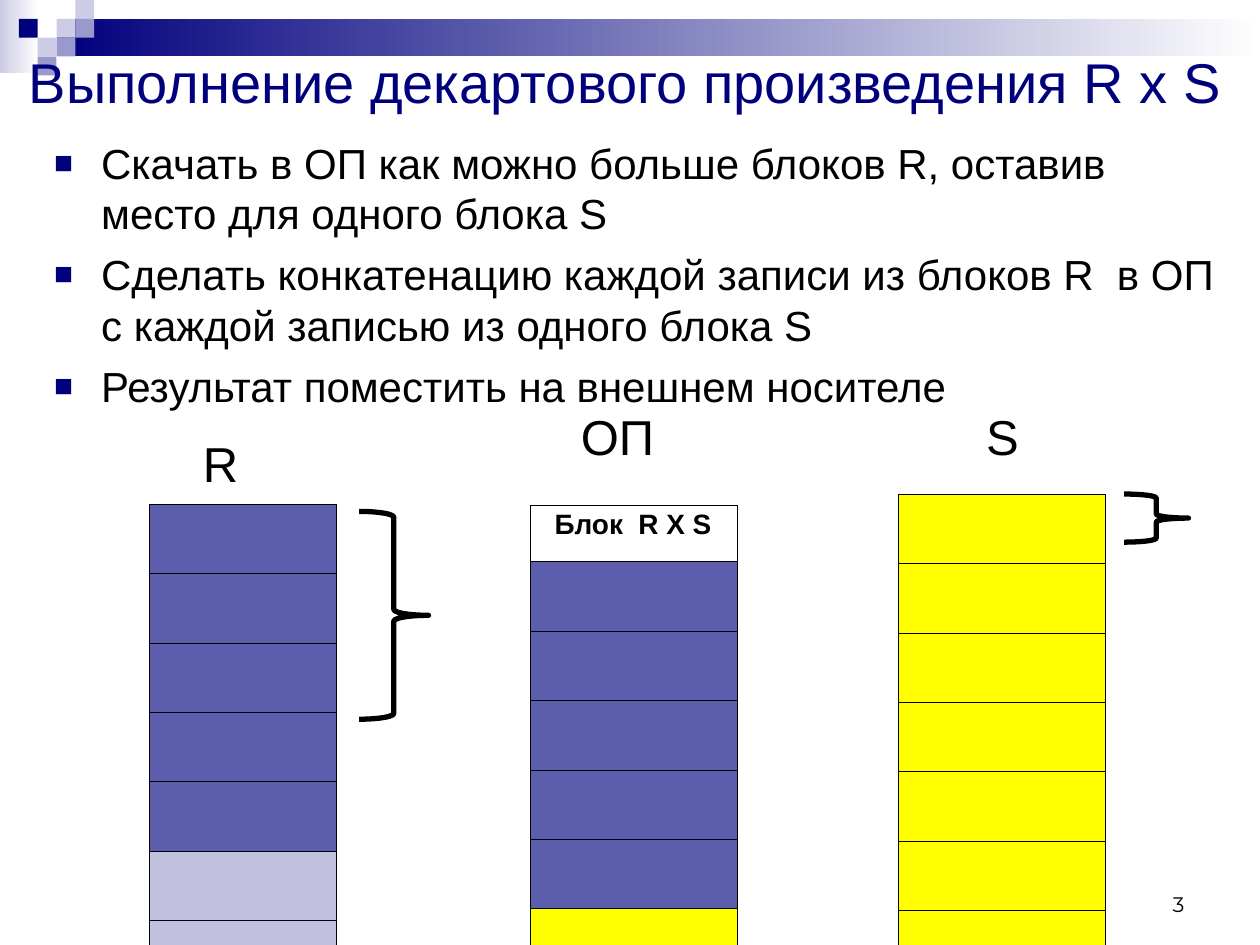
"""Builds the slide on computing the Cartesian product R x S."""
from lxml import etree
from pptx import Presentation
from pptx import util as u
from pptx.dml.color import RGBColor
from pptx.enum import shapes, text
from pptx.oxml import ns

NAVY = RGBColor(0x00, 0x00, 0x7D)
MID = RGBColor(0x99, 0x99, 0xCC)
PALE = RGBColor(0xCC, 0xCC, 0xE6)
BLOCK = RGBColor(0x5D, 0x5D, 0xAE)
UNREAD = RGBColor(0xC2, 0xC2, 0xE0)
YELLOW = RGBColor(0xFF, 0xFF, 0x00)
WHITE = RGBColor(0xFF, 0xFF, 0xFF)
BLACK = RGBColor(0x00, 0x00, 0x00)

TITLE = "Выполнение декартового произведения R x S"
BULLETS = [
    "Скачать в ОП как можно больше блоков R, оставив место для одного блока S",
    "Сделать конкатенацию каждой записи из блоков R  в ОП с каждой записью из одного блока S",
    "Результат поместить на внешнем носителе",
]
GRADIENTS = [((0, 0, 0.79, 1.47), PALE), ((1.14, 0.38, 24.26, 0.76), NAVY)]
SQUARE = 0.38
SQUARES = [(3, 1, PALE), (4, 0, PALE), (4, 1, MID), (2, 2, PALE),
           (1, 1, NAVY), (3, 2, MID), (2, 3, MID)]
LABELS = [("R", 3.84, 8.74, 1.78), ("S", 19.63, 8.2, 1.78), ("ОП", 11.46, 8.2, 2.49)]
TABLES = [
    (3, 10.16, 3.78, 0.89, [BLOCK] * 5 + [UNREAD] * 4),
    (10.69, 10.19, 4.17, 1.13, [None] + [BLOCK] * 5 + [YELLOW]),
    (18.11, 9.96, 4.17, 1.02, [YELLOW] * 8),
]
RESULT = "Блок  R X S"
BRACES = [(7.24, 10.31, 1.4, 4.19), (22.66, 9.96, 1.3, 0.97)]


def add_rect(s, box):
    sp = s.shapes.add_shape(shapes.MSO_SHAPE.RECTANGLE, *map(u.Cm, box))
    sp.shadow.inherit = False
    sp.line.fill.background()
    return sp


def set_font(p, size, color=BLACK, name="Arial", bold=False):
    p.font.size, p.font.name, p.font.bold = u.Pt(size), name, bold
    p.font.color.rgb = color


def add_text(s, box, lines, size, color=BLACK, name="Arial", inset=0.25):
    tf = s.shapes.add_textbox(*map(u.Cm, box)).text_frame
    tf.word_wrap = True
    tf.margin_left = tf.margin_right = u.Cm(inset)
    tf.margin_top = tf.margin_bottom = u.Cm(min(inset, 0.13))
    for i, line in enumerate(lines):
        p = tf.add_paragraph() if i else tf.paragraphs[0]
        p.text = line
        set_font(p, size, color, name)
    return tf


def add_bullet(p):
    pPr = p._p.get_or_add_pPr()
    pPr.set("marL", str(u.Cm(0.95)))
    pPr.set("indent", str(-u.Cm(0.95)))
    color = etree.Element(ns.qn("a:buClr"))
    etree.SubElement(color, ns.qn("a:srgbClr"), val=str(NAVY))
    size = etree.Element(ns.qn("a:buSzPct"), val="75000")
    font = etree.Element(ns.qn("a:buFont"), typeface="Arial")
    char = etree.Element(ns.qn("a:buChar"), char="■")
    at = pPr.index(pPr.find(ns.qn("a:defRPr")))
    for i, el in enumerate((color, size, font, char)):
        pPr.insert(at + i, el)


def add_borders(cell):
    tcPr = cell._tc.get_or_add_tcPr()
    for i, side in enumerate(("lnL", "lnR", "lnT", "lnB")):
        ln = etree.Element(ns.qn(f"a:{side}"), w=str(u.Pt(0.23)))
        fill = etree.SubElement(ln, ns.qn("a:solidFill"))
        etree.SubElement(fill, ns.qn("a:srgbClr"), val=str(BLACK))
        tcPr.insert(i, ln)


def add_blocks(s, left, top, width, row, colors):
    table = s.shapes.add_table(len(colors), 1, *map(u.Cm, (left, top, width, row * len(colors)))).table
    table.first_row = table.horz_banding = False
    for i, color in enumerate(colors):
        table.rows[i].height = u.Cm(row)
        cell = table.cell(i, 0)
        p = cell.text_frame.paragraphs[0]
        if color is None:
            cell.fill.background()
            cell.margin_left, cell.margin_right = u.Cm(0.49), u.Cm(0.18)
            p.text = RESULT
            p.line_spacing = 0.93
            set_font(p, 16, bold=True)
        else:
            cell.fill.solid()
            cell.fill.fore_color.rgb = color
            end = etree.SubElement(p._p, ns.qn("a:endParaRPr"), sz="2700")
            etree.SubElement(end, ns.qn("a:latin"), typeface="Arial")
        add_borders(cell)


def main():
    prs = Presentation()
    prs.slide_width, prs.slide_height = u.Cm(25.4), u.Cm(19.05)
    s = prs.slides.add_slide(prs.slide_layouts[6])

    for box, color in GRADIENTS:
        fill = add_rect(s, box).fill
        fill.gradient()
        fill.gradient_angle = 0
        for stop, rgb in zip(fill.gradient_stops, (color, WHITE)):
            stop.color.rgb = rgb
    for col, row, color in SQUARES:
        sp = add_rect(s, (col * SQUARE, row * SQUARE, SQUARE, SQUARE))
        sp.fill.solid()
        sp.fill.fore_color.rgb = color

    tf = add_text(s, (0.48, 0.58, 24.41, 2.11), [TITLE], 32, NAVY, inset=0.1)
    tf.vertical_anchor = text.MSO_ANCHOR.MIDDLE
    tf = add_text(s, (0.84, 2.64, 24.13, 16.08), BULLETS, 24)
    for i, p in enumerate(tf.paragraphs):
        add_bullet(p)
        if i:
            p.space_before = u.Pt(6)
    tf = add_text(s, (18.21, 17.35, 5.92, 1.27), ["3"], 12, name="Montserrat")
    tf.vertical_anchor = text.MSO_ANCHOR.BOTTOM
    tf.paragraphs[0].alignment = text.PP_ALIGN.RIGHT

    for blocks in TABLES:
        add_blocks(s, *blocks)
    for label, left, top, width in LABELS:
        tf = add_text(s, (left, top, width, 1.32), [label], 28)
        tf.paragraphs[0].line_spacing = 0.9
    for box in BRACES:
        sp = s.shapes.add_shape(shapes.MSO_SHAPE.RIGHT_BRACE, *map(u.Cm, box))
        sp.shadow.inherit = False
        sp.fill.background()
        sp.line.color.rgb = BLACK
        sp.line.width = u.Pt(3)

    prs.save("out.pptx")


if __name__ == "__main__":
    main()
